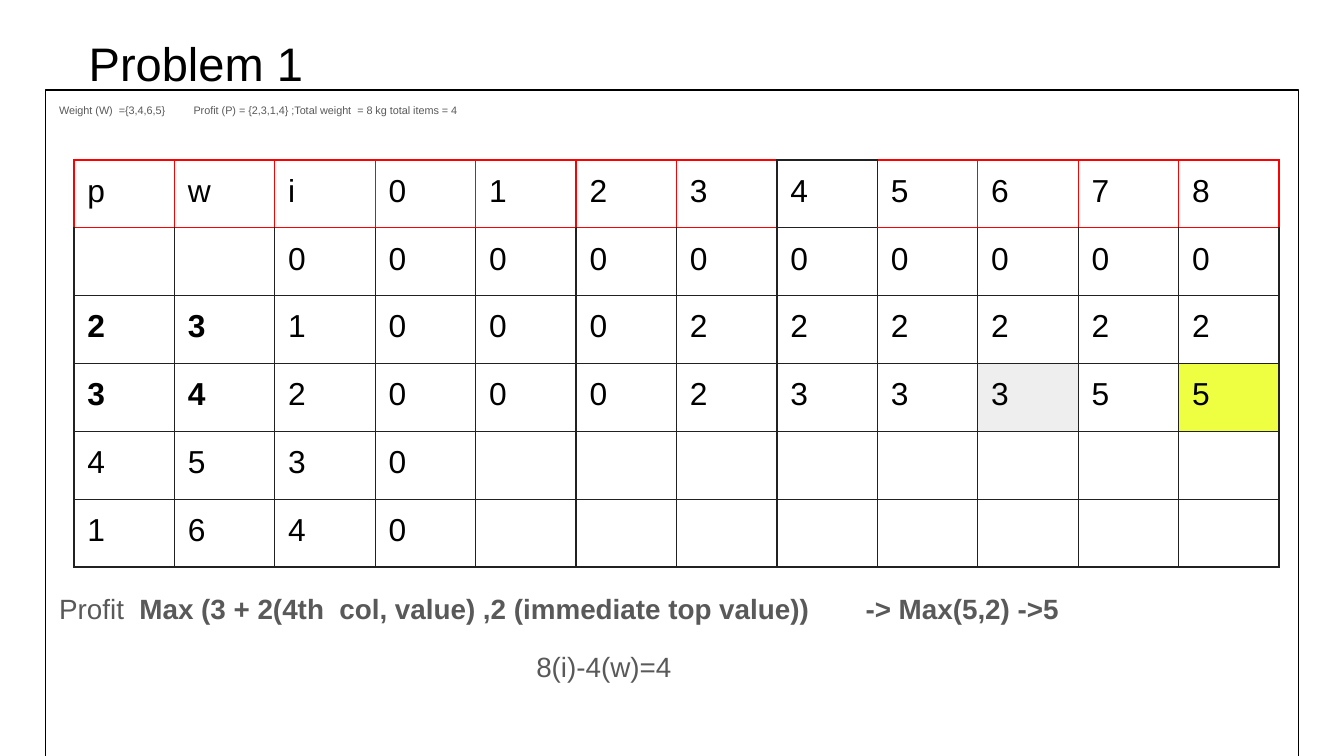
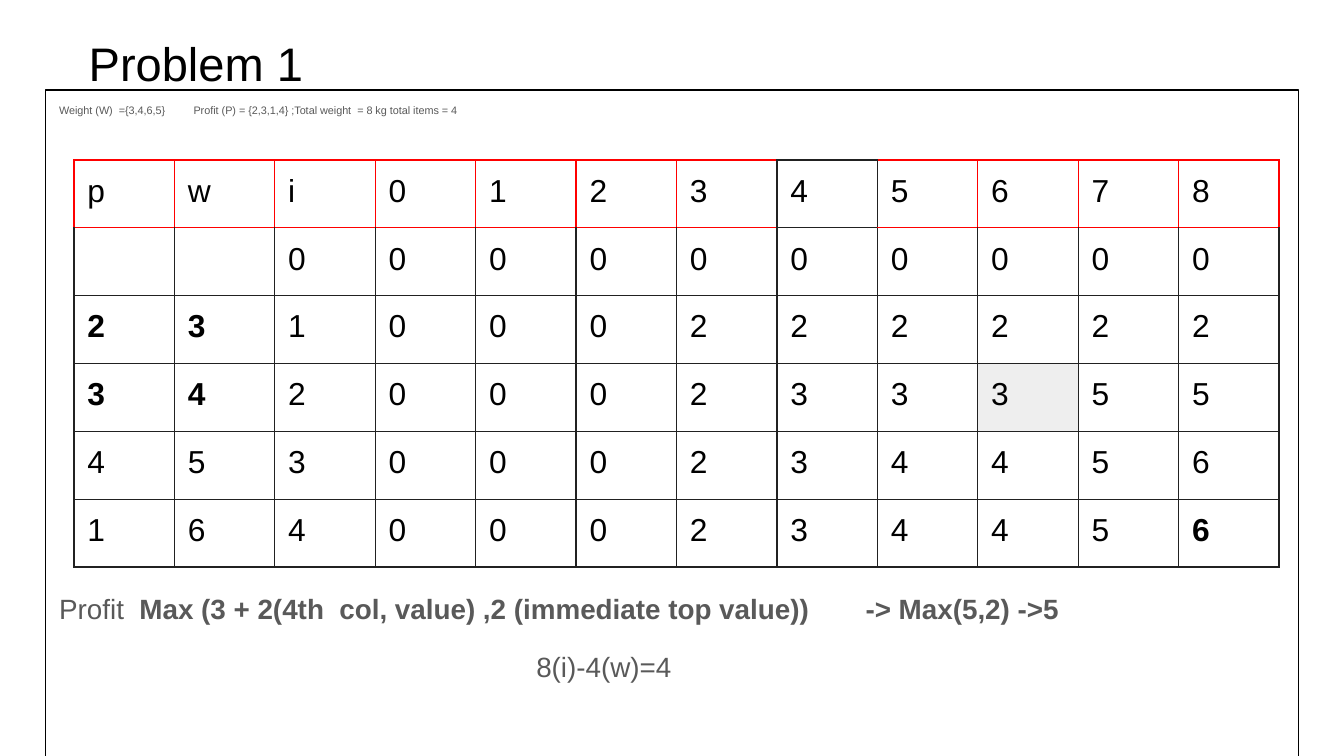
import pptx
import pptx.dml.color
import pptx.enum.text
import pptx.oxml.ns
import pptx.util
from lxml import etree
from pptx.util import Inches

FONT = "Arial"
BLACK, GREY, INK, RED = "000000", "595959", "212121", "FF0000"
WHITE, SILVER, YELLOW = "FFFFFF", "EEEEEE", "EEFF41"

TITLE_BOX = (0.56, 0.16, 9.32, 0.32)
TABLE_BOX = (0.55, 1.19, 8.97, 3.03)

GIVEN = "Weight (W)  ={3,4,6,5}\tProfit (P) = {2,3,1,4} ;Total weight  = 8 kg total items = 4"
FORMULA = "Max (3 + 2(4th  col, value) ,2 (immediate top value))\t-> Max(5,2) ->5"

HEADER = list("pwi012345678")
SOLVED_ROWS = [["", ""] + ["0"] * 10, list("231000222222"), list("342000233355")]
HALF_FILLED = SOLVED_ROWS + [list("4530") + [""] * 8, list("1640") + [""] * 8]
FILLED = SOLVED_ROWS + [list("453000234456"), list("164000234456")]
ITEM_CELLS = {(2, 0), (2, 1), (3, 0), (3, 1)}
SOLVED_FILLS = {(3, 7): WHITE, (3, 8): WHITE, (3, 9): SILVER, (3, 10): WHITE}
LAST_FILLS = {(3, 11): WHITE, (4, 8): WHITE, (4, 9): WHITE, (4, 10): WHITE}
DARK_COLUMN = 7


def color(value):
    return pptx.dml.color.RGBColor.from_string(value)


def set_font(font, size, value, bold=None):
    font.name, font.size, font.bold = FONT, pptx.util.Pt(size), bold
    font.color.rgb = color(value)


def place(sp, box):
    sp.left, sp.top, sp.width, sp.height = map(Inches, box)


def set_frame(tf):
    tf.word_wrap = True
    tf.auto_size = pptx.enum.text.MSO_AUTO_SIZE.NONE
    tf.vertical_anchor = pptx.enum.text.MSO_ANCHOR.TOP
    tf.margin_left = tf.margin_right = Inches(0.1)
    tf.margin_top = tf.margin_bottom = Inches(0.1)


def add_child(parent, tag, **attributes):
    child = etree.SubElement(parent, pptx.oxml.ns.qn(tag))
    for name, value in attributes.items():
        child.set(name, str(value))
    return child


def format_line(p, size, before=0, indent=0, tab=None):
    """Make p an unbulleted body line with an optional indent and tab stop."""
    pPr = p._p.get_or_add_pPr()
    pPr.set("marL", str(Inches(indent)))
    pPr.set("indent", "0")
    add_child(pPr, "a:buNone")
    if tab:
        add_child(add_child(pPr, "a:tabLst"), "a:tab", pos=Inches(tab), algn="l")
    p.alignment = pptx.enum.text.PP_ALIGN.LEFT
    p.line_spacing = 1.05
    p.space_before = pptx.util.Pt(before)
    set_font(p.font, size, GREY)


def add_title(s, text, box):
    sp = s.shapes.title
    place(sp, box)
    set_frame(sp.text_frame)
    p = sp.text_frame.paragraphs[0]
    p.text = text
    p.alignment = pptx.enum.text.PP_ALIGN.LEFT
    set_font(p.font, 25.2, BLACK)


def add_working(s, box):
    """Fill the outlined body with the given data and the profit formula."""
    sp = s.placeholders[1]
    place(sp, box)
    sp.line.color.rgb = color(BLACK)
    sp.line.width = pptx.util.Pt(0.75)
    tf = sp.text_frame
    set_frame(tf)

    p = tf.paragraphs[0]
    p.text = GIVEN
    format_line(p, 5.8, tab=0.89)

    p = tf.add_paragraph()
    p.add_run().text = "Profit  "
    r = p.add_run()
    r.text = FORMULA
    r.font.bold = True
    format_line(p, 14.9, before=253.5, tab=5.87)

    p = tf.add_paragraph()
    p.text = "8(i)-4(w)=4"
    format_line(p, 14.9, before=12, indent=3.55)


def border_colors(row, col):
    """Return the left, right, top and bottom colours of a cell."""
    if row > 1 or col == DARK_COLUMN:
        return INK, INK, INK, INK
    if row == 1:
        return INK, INK, RED, INK
    return (INK if col == DARK_COLUMN + 1 else RED,
            INK if col == DARK_COLUMN - 1 else RED, RED, RED)


def set_borders(cell, colors):
    tcPr = cell._tc.get_or_add_tcPr()
    for side, value in zip("LRTB", colors):
        ln = add_child(tcPr, f"a:ln{side}", w=pptx.util.Pt(0.75))
        add_child(add_child(ln, "a:solidFill"), "a:srgbClr", val=value)


def add_profit_table(s, box, rows, bold_cells, fills):
    left, top, width, height = map(Inches, box)
    frame = s.shapes.add_table(len(rows), len(rows[0]), left, top, width, height)
    table = frame.table
    table.first_row = table.horz_banding = False
    for i, values in enumerate(rows):
        for j, text in enumerate(values):
            cell = table.cell(i, j)
            cell.margin_left = cell.margin_right = Inches(0.1)
            cell.margin_top = cell.margin_bottom = Inches(0.1)
            p = cell.text_frame.paragraphs[0]
            p.text = text
            set_font(p.font, 17, BLACK, (i, j) in bold_cells)
            set_borders(cell, border_colors(i, j))
            if (i, j) in fills:
                cell.fill.solid()
                cell.fill.fore_color.rgb = color(fills[i, j])
            else:
                cell.fill.background()


def add_problem_slide(prs, rows, body_height, bold_cells, fills):
    s = prs.slides.add_slide(prs.slide_layouts[1])
    add_title(s, "Problem 1", TITLE_BOX)
    add_working(s, (0.34, 0.67, 9.32, body_height))
    add_profit_table(s, TABLE_BOX, [HEADER] + rows, bold_cells, fills)


def main():
    prs = pptx.Presentation()
    prs.slide_width = Inches(10)
    prs.slide_height = prs.slide_width * 9 // 16
    add_problem_slide(prs, HALF_FILLED, 5.11, ITEM_CELLS,
                      SOLVED_FILLS | {(3, 11): YELLOW})
    add_problem_slide(prs, FILLED, 5.06, ITEM_CELLS | {(5, 11)},
                      SOLVED_FILLS | LAST_FILLS)
    prs.save("out.pptx")


if __name__ == "__main__":
    main()
